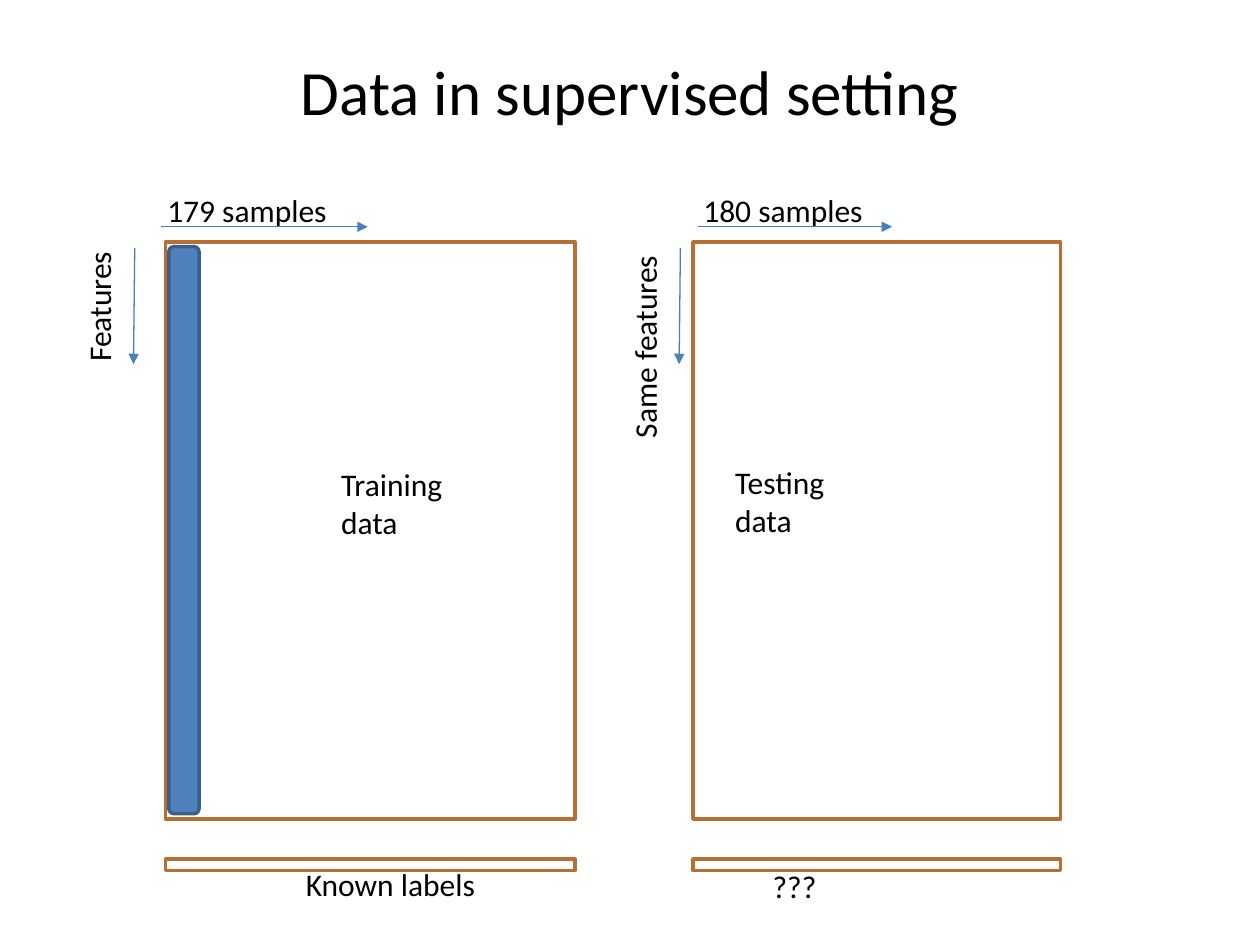
from dataclasses import dataclass

from lxml import etree
from pptx import Presentation
from pptx.dml.color import RGBColor
from pptx.enum import shapes, text
from pptx.oxml import ns
from pptx.util import Pt

FONT = "Calibri"
BLACK = "000000"
ORANGE = "B76F34"
ARROW_BLUE = "4B7EBC"
MATRIX_TOP, MATRIX_HEIGHT = 138.25, 329.75
LABELS_TOP, LABELS_HEIGHT = 491, 6.5
SAMPLES_TOP, SAMPLES_ARROW_TOP = 105.85, 129.6
FEATURES_ARROW_TOP, FEATURES_ARROW_BOTTOM = 141.85, 208.1
LINE_HEIGHT = 28.8


@dataclass
class Box:
    left: float
    top: float
    width: float
    height: float


@dataclass
class Caption:
    wording: str
    box: Box
    rotation: int = 0
    wrap: bool = False


@dataclass
class DataSet:
    left: float
    width: float
    samples_arrow: tuple[float, float]
    features_arrow: float
    captions: list[Caption]


DATA_SETS = [
    DataSet(94.5, 234, (92.2, 210.2), 77, [
        Caption("Training\ndata", Box(187.8, 262.2, 72.7, 51)),
        Caption("Known labels", Box(167.7, 491, 111.6, LINE_HEIGHT)),
        Caption("179 samples", Box(88.5, SAMPLES_TOP, 106.5, LINE_HEIGHT)),
        Caption("Features", Box(17.5, 160.6, 77.8, LINE_HEIGHT), 270),
    ]),
    DataSet(396, 210, (398.9, 509.8), 388.8, [
        Caption("Testing\ndata", Box(413, 261.2, 70.6, 51)),
        Caption("???", Box(434.4, 492, 39.6, LINE_HEIGHT)),
        Caption("180 samples", Box(394.8, SAMPLES_TOP, 106.5, LINE_HEIGHT)),
        Caption("Same features", Box(307.4, 182.2, 121.7, LINE_HEIGHT), 270, True),
    ]),
]


def color(value: str) -> RGBColor:
    return RGBColor.from_string(value)


def write(frame, wording: str, *, size: float = 18, align=text.PP_ALIGN.LEFT) -> None:
    frame.text = wording
    for paragraph in frame.paragraphs:
        paragraph.alignment = align
        paragraph.font.name = FONT
        paragraph.font.size = Pt(size)
        paragraph.font.color.rgb = color(BLACK)


def place(shape, box: Box) -> None:
    shape.left, shape.top = Pt(box.left), Pt(box.top)
    shape.width, shape.height = Pt(box.width), Pt(box.height)


def draw_title(slide, wording: str) -> None:
    title = slide.shapes.title
    place(title, Box(36, 6.5, 648, 90))
    title.text_frame.vertical_anchor = text.MSO_ANCHOR.MIDDLE
    write(title.text_frame, wording, size=36, align=text.PP_ALIGN.CENTER)


def draw_shape(slide, kind, box: Box, line: str, fill: str | None = None) -> None:
    shape = slide.shapes.add_shape(
        kind, Pt(box.left), Pt(box.top), Pt(box.width), Pt(box.height))
    shape.shadow.inherit = False
    if fill:
        shape.fill.solid()
        shape.fill.fore_color.rgb = color(fill)
    else:
        shape.fill.background()
    shape.line.color.rgb = color(line)
    shape.line.width = Pt(2)


def draw_arrow(slide, start: tuple[float, float], end: tuple[float, float]) -> None:
    arrow = slide.shapes.add_connector(
        shapes.MSO_CONNECTOR.STRAIGHT, *map(Pt, start + end))
    arrow.line.color.rgb = color(ARROW_BLUE)
    arrow.line.width = Pt(0.75)
    line = arrow.line._get_or_add_ln()
    etree.SubElement(line, ns.qn("a:tailEnd"), type="triangle")
    etree.SubElement(arrow._element.spPr, ns.qn("a:effectLst"))


def draw_caption(slide, caption: Caption) -> None:
    box = caption.box
    shape = slide.shapes.add_textbox(
        Pt(box.left), Pt(box.top), Pt(box.width), Pt(box.height))
    shape.rotation = caption.rotation
    shape.text_frame.word_wrap = caption.wrap
    shape.text_frame.auto_size = text.MSO_AUTO_SIZE.SHAPE_TO_FIT_TEXT
    write(shape.text_frame, caption.wording)


def draw_data_set(slide, data: DataSet) -> None:
    for top, height in ((MATRIX_TOP, MATRIX_HEIGHT), (LABELS_TOP, LABELS_HEIGHT)):
        draw_shape(slide, shapes.MSO_SHAPE.RECTANGLE,
                   Box(data.left, top, data.width, height), ORANGE)
    for caption in data.captions:
        draw_caption(slide, caption)
    start, end = data.samples_arrow
    draw_arrow(slide, (start, SAMPLES_ARROW_TOP), (end, SAMPLES_ARROW_TOP))
    draw_arrow(slide, (data.features_arrow, FEATURES_ARROW_TOP),
               (data.features_arrow - 0.7, FEATURES_ARROW_BOTTOM))


def main() -> None:
    presentation = Presentation()
    presentation.slide_width, presentation.slide_height = Pt(720), Pt(540)
    slide = presentation.slides.add_slide(presentation.slide_layouts[5])
    draw_title(slide, "Data in supervised setting")
    for data in DATA_SETS:
        draw_data_set(slide, data)
    draw_shape(slide, shapes.MSO_SHAPE.ROUNDED_RECTANGLE,
               Box(96.5, 141, 17.3, 324), "3A5F8C", "4F81BD")
    presentation.save("out.pptx")


if __name__ == "__main__":
    main()
